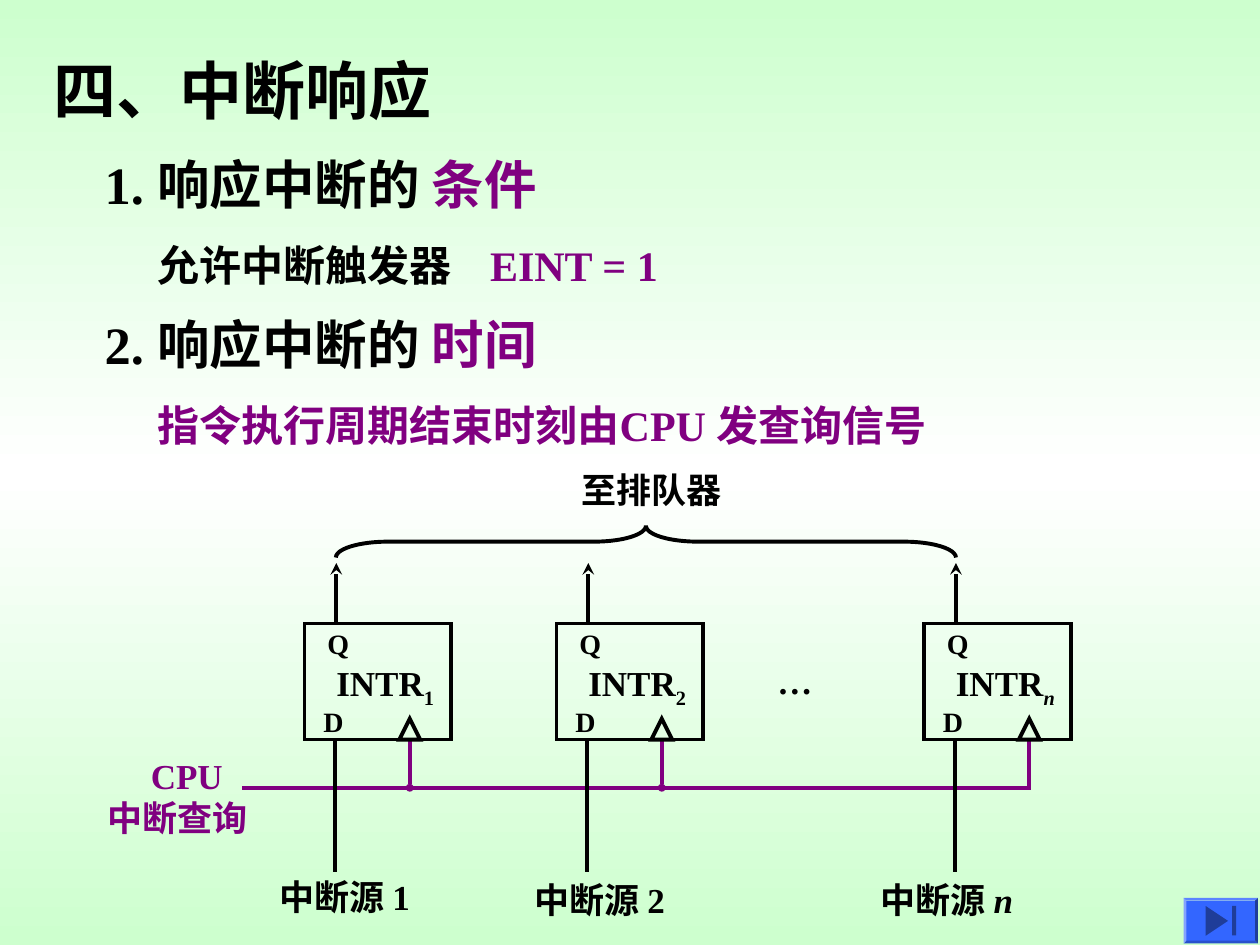
from copy import deepcopy

from lxml.etree import SubElement
from pptx import Presentation
from pptx.dml.color import RGBColor
from pptx.enum.shapes import MSO_CONNECTOR, MSO_SHAPE
from pptx.enum.text import MSO_ANCHOR
from pptx.oxml.ns import qn
from pptx.util import Cm, Pt

STRAIGHT = MSO_CONNECTOR.STRAIGHT
RECTANGLE, TRIANGLE = MSO_SHAPE.RECTANGLE, MSO_SHAPE.ISOSCELES_TRIANGLE
BRACE, BEVEL = MSO_SHAPE.LEFT_BRACE, MSO_SHAPE.BEVEL
MIDDLE = MSO_ANCHOR.MIDDLE
BLACK, PURPLE, GREEN, WHITE = "000000", "800080", "CDFFCE", "FFFFFF"
BLUE, DARK_BLUE = "3366FF", "1F3D99"
color_of = RGBColor.from_string

deck = Presentation()
deck.slide_width, deck.slide_height = Cm(25.4), Cm(19.05)
page = deck.slides.add_slide(deck.slide_layouts[6])
shapes = page.shapes


def add_text(text, left, top, width, height, size=20, color=BLACK, tail="",
             tail_color=None, italic=None, baseline=None, heading=False):
    """Add a bold text box; the tail is a last run with its own format."""
    box = shapes.add_textbox(Cm(left), Cm(top), Cm(width), Cm(height))
    frame = box.text_frame
    frame.word_wrap = True
    if heading:
        frame.vertical_anchor = MIDDLE
        frame.margin_left = frame.margin_right = 0
    frame.text = text
    if tail:
        last = frame.paragraphs[-1].add_run()
        last.text = tail
        last.font.italic = italic
        if baseline:
            last.font._element.set("baseline", str(baseline))
    for para in frame.paragraphs:
        for span in para.runs:
            span.font.name, span.font.size, span.font.bold = "Times New Roman", Pt(size), True
            span.font.color.rgb = color_of(color)
    if tail_color:
        last.font.color.rgb = color_of(tail_color)
    return box


def style(shape, line=None, fill=None, end=None, end_size="med"):
    """Set line, fill and end marker, and remove the shadow."""
    if fill:
        shape.fill.solid()
        shape.fill.fore_color.rgb = color_of(fill)
    elif hasattr(shape, "fill"):
        shape.fill.background()
    properties = shape.element.spPr
    if line:
        shape.line.color.rgb = color_of(line)
        shape.line.width = Pt(2.25)
        outline = properties.find(qn("a:ln"))
        SubElement(outline, qn("a:miter"), lim="800000")
        if end:
            SubElement(outline, qn("a:tailEnd"), type=end, w=end_size, len=end_size)
    else:
        shape.line.fill.background()
    SubElement(properties, qn("a:effectLst"))


# Background
background = page.background.fill
background.gradient()
background.gradient_angle = 270
first_stop = page.element.xpath(".//a:gs")[0]
first_stop.addnext(deepcopy(first_stop))
for stop, position, color in zip(background.gradient_stops, (0, 0.5, 1), (GREEN, WHITE, GREEN)):
    stop.position = position
    stop.color.rgb = color_of(color)

# Headings
add_text("四、中断响应", 1.07, 1.07, 17.58, 1.47, size=36, heading=True)
for number, topic, top in (("1", "条件", 2.97), ("2", "时间", 6.2)):
    add_text(f"{number}. 响应中断的 ", 2.11, top, 10.8, 1.47, size=30,
             tail=topic, tail_color=PURPLE, heading=True)
condition = add_text("允许中断触发器\t", 3.18, 4.6, 10.8, 1.47, size=24,
                     tail="EINT = 1", tail_color=PURPLE, heading=True)
condition_format = condition.text_frame.paragraphs[0]._p.get_or_add_pPr()
tabs = SubElement(condition_format, qn("a:tabLst"))
SubElement(tabs, qn("a:tab"), pos=str(Cm(6.7)), algn="l")
add_text("指令执行周期结束时刻由CPU 发查询信号", 3.18, 7.83, 18.62, 1.47,
         size=24, color=PURPLE, heading=True)

# Query line from the CPU
BOX_TOP, BOX_BOTTOM, BOX_WIDTH = 12.57, 14.91, 2.96
QUERY_Y, CLOCK_OFFSET = 15.88, 2.12
box_lefts = (6.14, 11.22, 18.63)
last_clock = box_lefts[-1] + CLOCK_OFFSET
builder = shapes.build_freeform(Cm(4.88), Cm(QUERY_Y))
builder.add_line_segments([(Cm(last_clock), Cm(QUERY_Y)), (Cm(last_clock), Cm(BOX_BOTTOM))],
                          close=False)
style(builder.convert_to_shape(), line=PURPLE)
query = add_text("CPU\n中断查询", 1.92, 15.09, 3.7, 1.96, color=PURPLE)
query.text_frame.paragraphs[0]._p.get_or_add_pPr().set("marL", str(Cm(0.87)))

# Interrupt request flip-flops
sources = zip(box_lefts, ("1", "2", "n"), (5.38, 10.52, 17.5), (17.53, 17.58, 17.58))
for left, index, label_left, label_top in sources:
    italic = index == "n"
    clock = left + CLOCK_OFFSET
    lines = [(left + 0.64, BOX_TOP, 11.35, BLACK, "stealth", "med"),
             (left + 0.62, BOX_BOTTOM, 17.57, BLACK, None, None)]
    if clock != last_clock:
        lines.append((clock, BOX_BOTTOM, QUERY_Y, PURPLE, "oval", "sm"))
    for x, start, stop, color, end, end_size in lines:
        wire = shapes.add_connector(STRAIGHT, Cm(x), Cm(start), Cm(x), Cm(stop))
        style(wire, line=color, end=end, end_size=end_size)
    style(shapes.add_shape(RECTANGLE, Cm(left), Cm(BOX_TOP), Cm(BOX_WIDTH),
                           Cm(BOX_BOTTOM - BOX_TOP)), line=BLACK)
    style(shapes.add_shape(TRIANGLE, Cm(clock - 0.21), Cm(BOX_BOTTOM - 0.42),
                           Cm(0.42), Cm(0.42)), line=BLACK)
    add_text("INTR", left + 0.39, 13.21, 3, 1.21, tail=index, italic=italic, baseline=-25000)
    add_text("D", left + 0.13, 14.07, 1.1, 0.93, size=16)
    add_text("Q", left + 0.21, 12.5, 1.1, 0.93, size=16)
    add_text("中断源 ", label_left, label_top, 4, 1.11, tail=index, italic=italic)
add_text("…", 15.42, 13.18, 1.5, 1.11)

# Brace towards the queue
brace = shapes.add_shape(BRACE, Cm(12.7), Cm(4.67), Cm(0.64), Cm(12.5))
brace.rotation = 90
brace.adjustments[0] = 1.64
style(brace, line=BLACK)
add_text("至排队器", 11.48, 9.32, 3.7, 1.11)

# Button to the last page
button = shapes.add_shape(BEVEL, Cm(23.86), Cm(18.1), Cm(1.5), Cm(0.92))
button.adjustments[0] = 0.06
style(button, fill=BLUE)
play = shapes.add_shape(TRIANGLE, Cm(24.23), Cm(18.34), Cm(0.6), Cm(0.45))
play.rotation = 90
style(play, fill=DARK_BLUE)
style(shapes.add_shape(RECTANGLE, Cm(24.84), Cm(18.26), Cm(0.08), Cm(0.6)), fill=DARK_BLUE)

deck.save("out.pptx")
